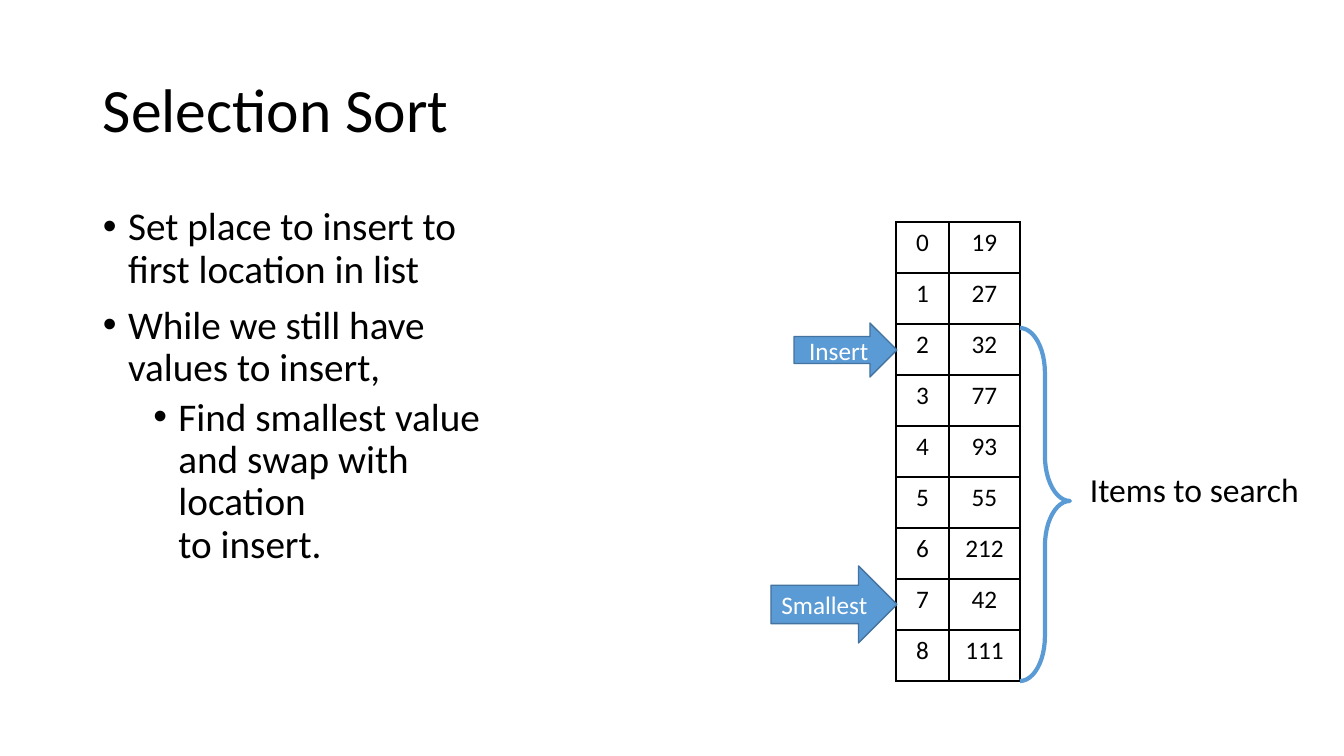
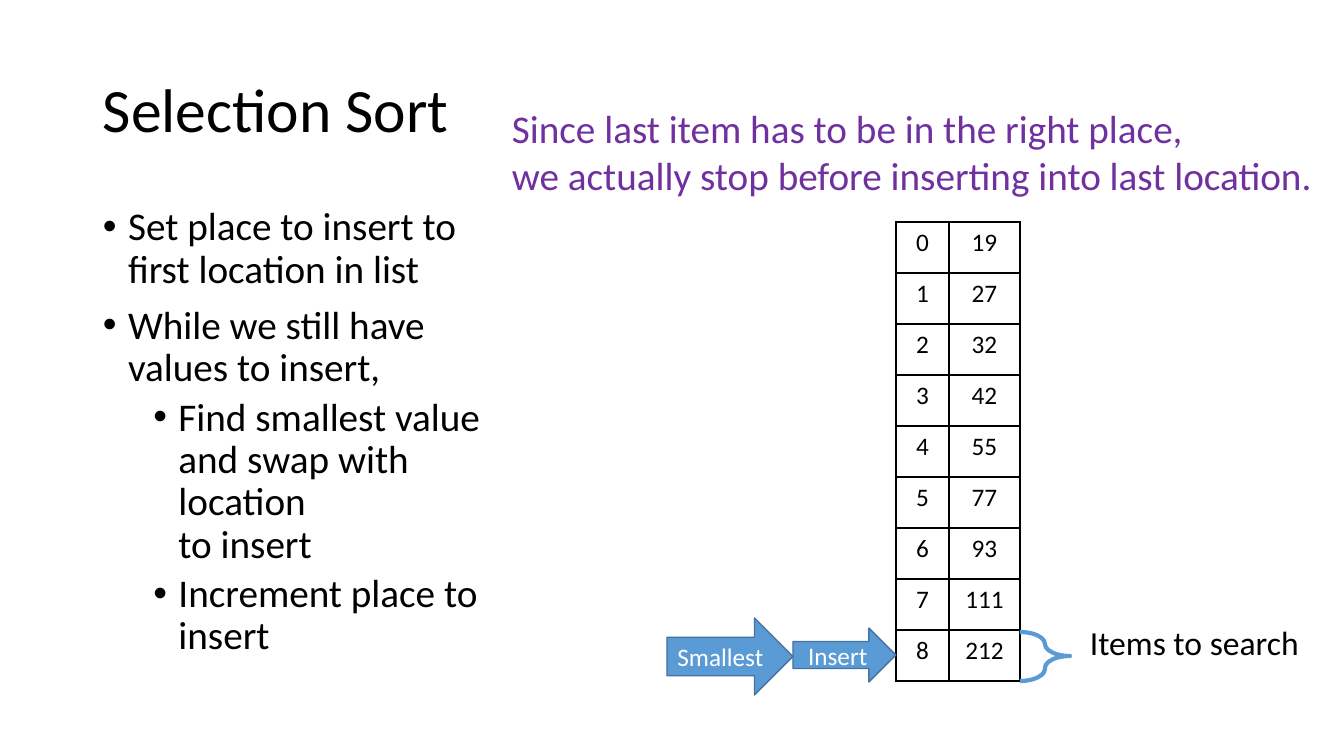
"""Build two slides that trace a selection sort on a nine-item list."""
from lxml.etree import SubElement
from pptx import Presentation
from pptx.dml.color import RGBColor
from pptx.enum.shapes import MSO_SHAPE
from pptx.enum.text import MSO_ANCHOR, MSO_AUTO_SIZE, PP_ALIGN
from pptx.oxml import parse_xml
from pptx.oxml.ns import nsdecls, qn
from pptx.util import Emu, Pt

PX = 914400 / 100.8
FONT = "Calibri"
BLACK, WHITE, BLUE, DARK_BLUE, PURPLE = "000000", "FFFFFF", "5B9BD5", "43739E", "7030A0"


def box(*pixels):
    return [Emu(round(pixel * PX)) for pixel in pixels]


def style(paragraph, size, color):
    for run in paragraph.runs:
        run.font.size = Pt(size)
        run.font.name = FONT
        run.font.color.rgb = RGBColor.from_string(color)


TITLE = "Selection Sort"
SETUP = [
    (0, "Set place to insert to\vfirst location in list"),
    (0, "While we still have \vvalues to insert,"),
]
SWAP = "Find smallest value \vand swap with location\vto insert"
LAST_ITEM = "Since last item has to be in the right place, \vwe actually stop before inserting into last location."
SEARCH = "Items to search"

steps = [
    {
        "bullets": SETUP + [(1, SWAP + ".")],
        "values": [19, 27, 32, 77, 93, 55, 212, 42, 111],
        "pointers": [("Smallest", 771, 566, 126, 77), ("Insert", 794, 323, 103, 54)],
        "search_range": (328, 353),
        "notes": [(SEARCH, 24, BLACK, (1080, 464, 231, 50))],
    },
    {
        "bullets": SETUP + [(1, SWAP), (1, "Increment place to insert")],
        "values": [19, 27, 32, 42, 55, 77, 93, 111, 212],
        "pointers": [("Insert", 793, 628, 103, 54), ("Smallest", 667, 618, 126, 77)],
        "search_range": (632, 49),
        "notes": [
            (SEARCH, 24, BLACK, (1080, 617, 231, 50)),
            (LAST_ITEM, 28, PURPLE, (502, 99, 830, 105)),
        ],
    },
]

deck = Presentation()
deck.slide_width, deck.slide_height = box(1344, 756)

for step in steps:
    slide = deck.slides.add_slide(deck.slide_layouts[6])
    shapes = slide.shapes

    title = shapes.add_textbox(*box(93, 40, 1159, 146)).text_frame
    title.word_wrap = True
    title.vertical_anchor = MSO_ANCHOR.MIDDLE
    title.text = TITLE
    title.paragraphs[0].line_spacing = 0.9
    style(title.paragraphs[0], 44, BLACK)

    body = shapes.add_textbox(*box(93, 202, 452, 480)).text_frame
    body.word_wrap = True
    body.text = "\n".join(text for level, text in step["bullets"])
    for paragraph, (level, text) in zip(body.paragraphs, step["bullets"]):
        paragraph.level = level
        paragraph.line_spacing = 0.9
        paragraph.space_before = Pt(5 if level else 10)
        style(paragraph, 28, BLACK)
        properties = paragraph._p.get_or_add_pPr()
        properties.set("marL", str(Pt(18 + 36 * level)))
        properties.set("indent", str(-Pt(18)))
        SubElement(properties, qn("a:buFont")).set("typeface", "Arial")
        SubElement(properties, qn("a:buChar")).set("char", "•")

    values = step["values"]
    items = shapes.add_table(len(values), 2, *box(896, 222, 124, 51 * len(values))).table
    items.first_row = items.horz_banding = False
    items.columns[0].width, items.columns[1].width = box(53, 71)
    for index, value in enumerate(values):
        items.rows[index].height = box(51)[0]
        for column, number in enumerate((index, value)):
            cell = items.cell(index, column)
            cell.text = str(number)
            cell.text_frame.paragraphs[0].alignment = PP_ALIGN.CENTER
            style(cell.text_frame.paragraphs[0], 18, BLACK)
            for side in "LRTB":
                cell._tc.get_or_add_tcPr().append(parse_xml(
                    f'<a:ln{side} {nsdecls("a")} w="{Pt(1)}"><a:solidFill>'
                    f'<a:srgbClr val="{BLACK}"/></a:solidFill></a:ln{side}>'))
            cell.fill.background()

    for label, left, top, width, height in step["pointers"]:
        pointer = shapes.add_shape(MSO_SHAPE.RIGHT_ARROW, *box(left, top, width, height))
        pointer.shadow.inherit = False
        pointer.fill.solid()
        pointer.fill.fore_color.rgb = RGBColor.from_string(BLUE)
        pointer.line.color.rgb = RGBColor.from_string(DARK_BLUE)
        pointer.line.width = Pt(1)
        pointer.text_frame.text = label
        pointer.text_frame.word_wrap = False
        pointer.text_frame.vertical_anchor = MSO_ANCHOR.MIDDLE
        pointer.text_frame.paragraphs[0].alignment = PP_ALIGN.CENTER
        style(pointer.text_frame.paragraphs[0], 18, WHITE)

    top, height = step["search_range"]
    brace = shapes.add_shape(MSO_SHAPE.RIGHT_BRACE, *box(1020, top, 50, height))
    brace.shadow.inherit = False
    brace.adjustments[0], brace.adjustments[1] = 0.9, 0.49
    brace.fill.background()
    brace.line.color.rgb = RGBColor.from_string(BLUE)
    brace.line.width = Pt(3)

    for text, size, color, place in step["notes"]:
        note = shapes.add_textbox(*box(*place)).text_frame
        note.word_wrap = False
        note.auto_size = MSO_AUTO_SIZE.SHAPE_TO_FIT_TEXT
        note.text = text
        style(note.paragraphs[0], size, color)

deck.save("out.pptx")
